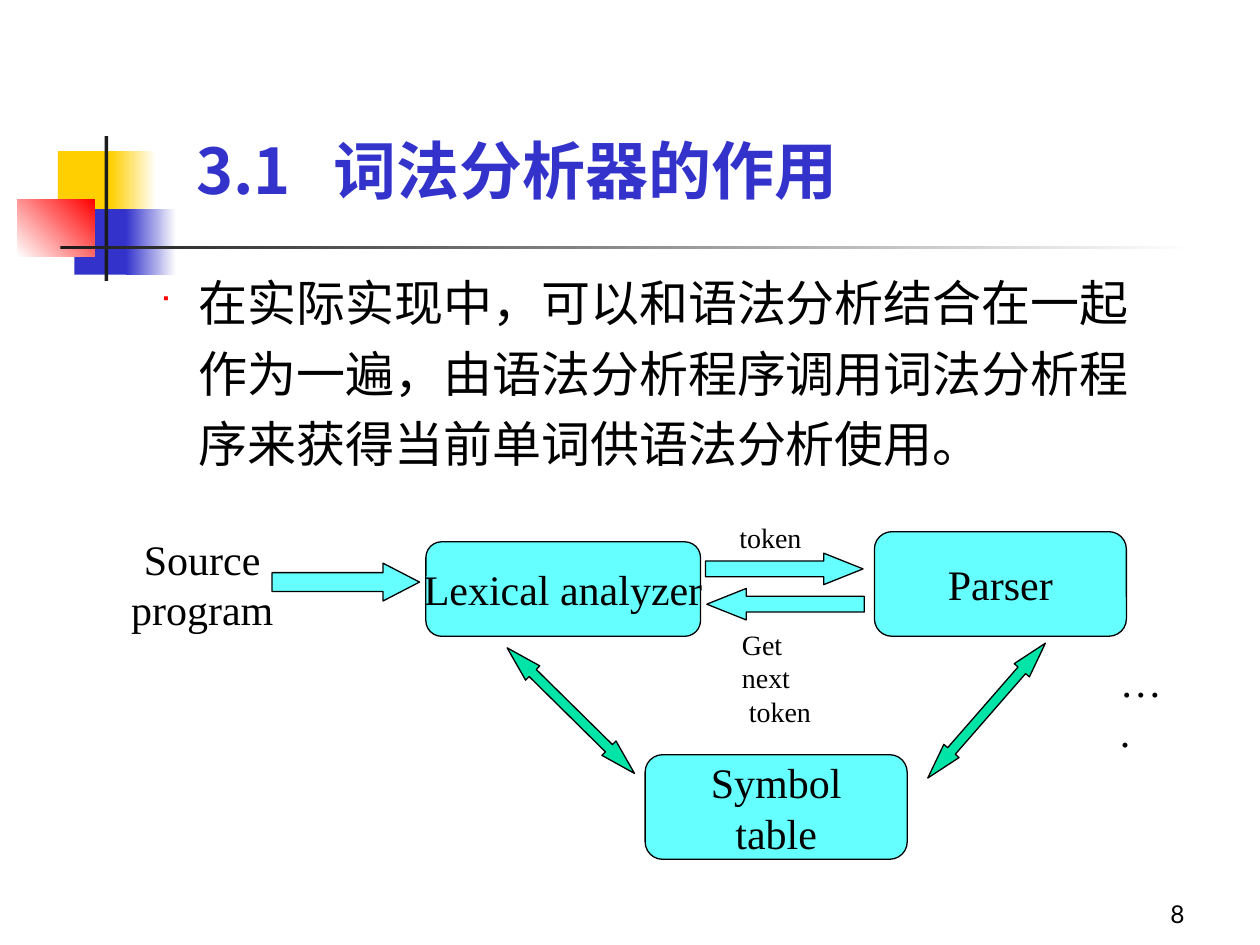
from lxml.etree import SubElement
from pptx import Presentation
from pptx.dml.color import RGBColor
from pptx.enum.shapes import MSO_SHAPE as Shape
from pptx.enum.text import MSO_ANCHOR as Anchor, MSO_AUTO_SIZE as AutoSize, PP_ALIGN as Align
from pptx.oxml.ns import qn
from pptx.util import Inches, Pt

THEME = {
    "gold": "FFCF01", "blue": "3333CC", "red": "FF0000", "dark": "1C1C1C",
    "white": "FFFFFF", "black": "000000", "cyan": "66FFFF", "green": "00E4A8",
    "sans": "Lato", "heading": "Noto Sans CJK SC", "serif": "Times New Roman",
    "title": 36, "body": 28, "node": 24, "label": 16, "number": 14,
}
DECORATION = [
    ((0.46, 1.2, 0.48, 0.52), ["gold"], 0),
    ((0.88, 1.2, 0.36, 0.52), ["gold", "white"], 0),
    ((0.59, 1.66, 0.46, 0.52), ["blue"], 0),
    ((1, 1.66, 0.4, 0.52), ["blue", "white"], 0),
    ((0.14, 1.58, 0.61, 0.46), ["white", "red"], 45),
    ((0.83, 1.08, 0.03, 1.15), ["dark"], 0),
    ((0.48, 1.95, 9, 0.03), ["dark", "white"], 0),
]
TITLE = "3.1\t词法分析器的作用"
BODY = "在实际实现中，可以和语法分析结合在一起作为一遍，由语法分析程序调用词法分析程序来获得当前单词供语法分析使用。"
PAGE_NUMBER = "8"
NODES = [
    (["Source", "program"], (1.02, 4.22, 1.17, 0.83), "white", "white"),
    (["Lexical analyzer"], (3.38, 4.3, 2.18, 0.75), "cyan", "black"),
    (["Parser"], (6.94, 4.22, 2, 0.83), "cyan", "black"),
    (["Symbol", "table"], (5.12, 5.99, 2.08, 0.83), "cyan", "black"),
]
ARROWS = [
    (Shape.RIGHT_ARROW, (2.16, 4.47, 1.17, 0.3), 0, 0.965, "cyan"),
    (Shape.RIGHT_ARROW, (5.6, 4.39, 1.25, 0.25), 0, 1.25, "cyan"),
    (Shape.RIGHT_ARROW, (5.61, 4.67, 1.25, 0.25), 180, 1.25, "cyan"),
    (Shape.LEFT_RIGHT_ARROW, (3.82, 5.56, 1.42, 0.16), 44.6, 1.784, "green"),
    (Shape.LEFT_RIGHT_ARROW, (7.12, 5.56, 1.42, 0.16), 131.1, 1.784, "green"),
]
LABELS = [
    (["token"], (5.77, 4.08, 0.69, 0.37), "label"),
    (["Get next", " token"], (5.79, 4.93, 0.95, 0.64), "label"),
    (["…."], (8.79, 5.15, 0.61, 0.5), "node"),
]


def color(name):
    """Return a theme colour."""
    return RGBColor.from_string(THEME[name])


def add_figure(page, kind, place, fills, line=None, angle=0):
    """Add a preset shape with a plain or two-colour gradient fill."""
    figure = page.shapes.add_shape(kind, *map(Inches, place))
    figure.shadow.inherit = False
    if len(fills) == 1:
        figure.fill.solid()
        figure.fill.fore_color.rgb = color(fills[0])
    else:
        figure.fill.gradient()
        figure.fill.gradient_angle = angle
        for stop, name in zip(figure.fill.gradient_stops, fills):
            stop.color.rgb = color(name)
    if line:
        figure.line.color.rgb = color(line)
        figure.line.width = Pt(0.75)
    else:
        figure.line.fill.background()
    return figure


def write_text(box, lines, size, font="serif", ink="black", bold=False,
               align=Align.LEFT, anchor=Anchor.TOP, wrap=False, grow=False):
    """Write one paragraph per line and return the paragraphs."""
    frame = box.text_frame
    frame.word_wrap = wrap
    frame.auto_size = AutoSize.SHAPE_TO_FIT_TEXT if grow else AutoSize.NONE
    frame.vertical_anchor = anchor
    for index, line in enumerate(lines):
        para = frame.add_paragraph() if index else frame.paragraphs[0]
        para.alignment = align
        span = para.add_run()
        span.text = line
        span.font.name = THEME[font]
        span.font.size = Pt(THEME[size])
        span.font.bold = bold
        span.font.color.rgb = color(ink)
        SubElement(span.font._element, qn("a:ea"), typeface=THEME[font])
    return frame.paragraphs


def add_text(page, place, lines, size, **style):
    """Add a text box and return its paragraphs."""
    return write_text(page.shapes.add_textbox(*map(Inches, place)), lines, size, **style)


def set_bullet(para):
    """Give the paragraph a small red square and a hanging indent."""
    props = para._p.get_or_add_pPr()
    props.set("lvl", "1")
    props.set("marL", str(Inches(0.81)))
    props.set("indent", str(Inches(-0.31)))
    SubElement(SubElement(props, qn("a:buClr")), qn("a:srgbClr"), val=THEME["red"])
    SubElement(props, qn("a:buSzPct"), val="55000")
    SubElement(props, qn("a:buFont"), typeface="Wingdings")
    SubElement(props, qn("a:buChar"), char="■")


def set_tab(para, position):
    """Set one left tab stop."""
    stops = SubElement(para._p.get_or_add_pPr(), qn("a:tabLst"))
    SubElement(stops, qn("a:tab"), pos=str(Inches(position)), algn="l")


def main():
    """Build the slide and save it."""
    deck = Presentation()
    deck.slide_width, deck.slide_height = Inches(10), Inches(7.5)
    page = deck.slides.add_slide(deck.slide_layouts[6])

    for place, fills, angle in DECORATION:
        add_figure(page, Shape.RECTANGLE, place, fills, angle=angle)

    add_text(page, (7.42, 6.92, 2.08, 0.5), [PAGE_NUMBER], "number", font="sans",
             align=Align.RIGHT, anchor=Anchor.BOTTOM, wrap=True)
    title = add_text(page, (1.46, 0.76, 7.46, 0.93), [TITLE], "title", font="heading",
                     ink="blue", bold=True, anchor=Anchor.BOTTOM, wrap=True)
    set_tab(title[0], 1.09)
    body = add_text(page, (0.67, 2.02, 8.5, 1.89), [BODY], "body", font="sans", wrap=True)
    body[0].line_spacing = 1.2
    set_bullet(body[0])

    for lines, place, fill, line in NODES:
        node = add_figure(page, Shape.ROUNDED_RECTANGLE, place, [fill], line)
        write_text(node, lines, "node", align=Align.CENTER, anchor=Anchor.MIDDLE)
    for kind, place, turn, head, fill in ARROWS:
        arrow = add_figure(page, kind, place, [fill], "black")
        arrow.adjustments[0], arrow.adjustments[1] = 0.5, head
        arrow.rotation = turn
    for lines, place, size in LABELS:
        add_text(page, place, lines, size, grow=True)

    deck.save("out.pptx")


if __name__ == "__main__":
    main()
